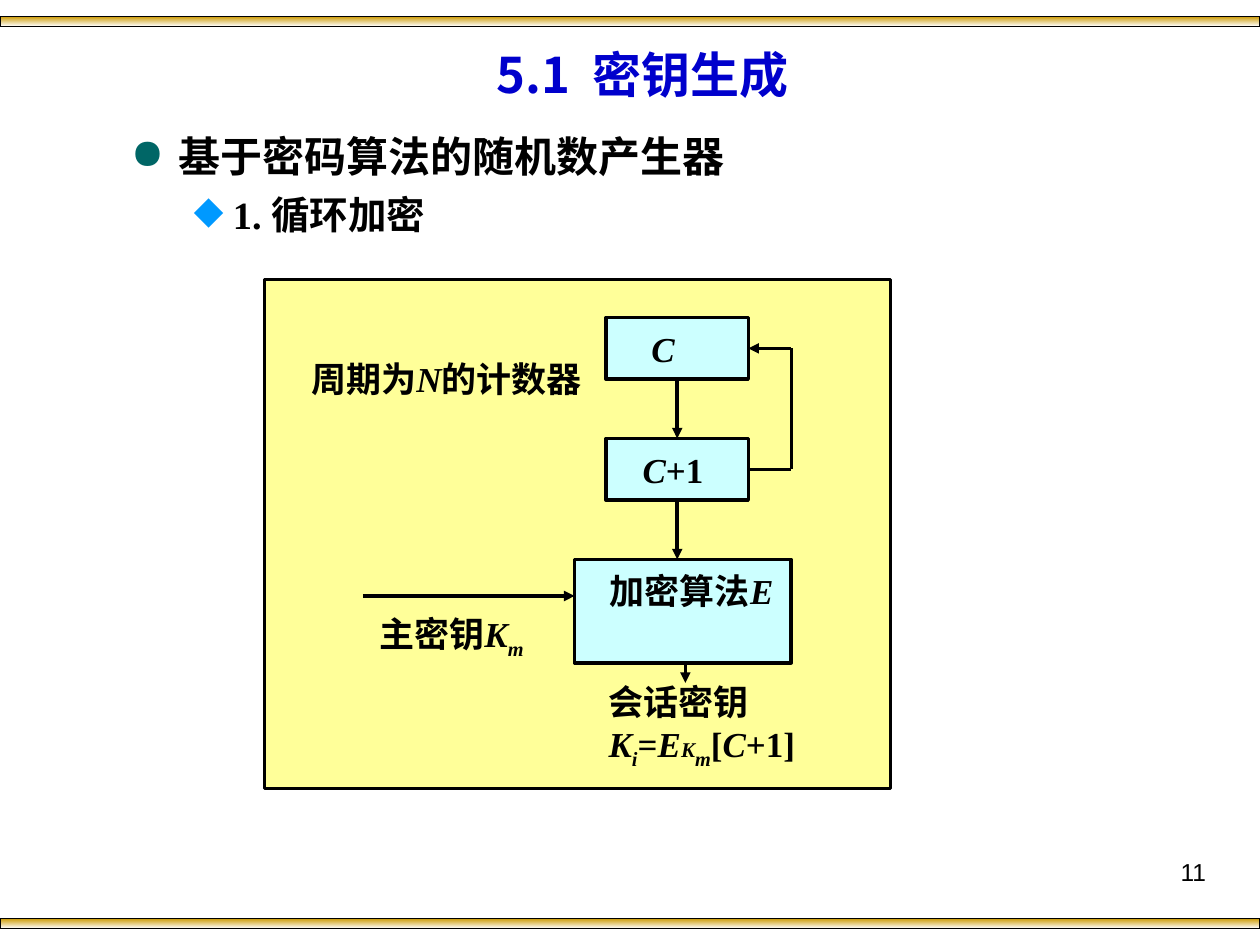
"""Build a slide on key generation by cyclic encryption."""
from dataclasses import dataclass
from typing import Optional

from lxml.etree import SubElement
from pptx import Presentation
from pptx.dml.color import RGBColor
from pptx.enum.shapes import MSO_CONNECTOR, MSO_SHAPE
from pptx.enum.text import MSO_ANCHOR, PP_ALIGN
from pptx.oxml.ns import qn
from pptx.util import Emu, Inches, Pt

COLORS = {
    "black": "000000", "title": "0000CC", "gold": "CC9900", "white": "FFFFFF",
    "panel": "FFFF99", "block": "CCFFFF", "dot": "006666", "diamond": "0099FF",
}
SERIF, SANS, PLAIN = "Times New Roman", "Noto Sans CJK SC", "Arial"
WIDTH, HEIGHT = Inches(10), Inches(7.5)
COLUMNS, ROWS = 100, 75
TOP, LEFT, BOTTOM, RIGHT = range(4)


@dataclass(frozen=True)
class Area:
    left: float
    top: float
    width: float
    height: float


@dataclass(frozen=True)
class Span:
    text: str
    italic: bool = False
    lowered: bool = False
    size: Optional[float] = None
    tracking: float = 0


@dataclass(frozen=True)
class Label:
    area: Area
    paragraphs: tuple
    before: float = 12.5


@dataclass(frozen=True)
class Block:
    area: Area
    spans: tuple
    first: float


@dataclass(frozen=True)
class Link:
    start: tuple
    end: tuple
    begin_join: Optional[tuple] = None
    end_join: Optional[tuple] = None
    arrow: bool = True


def column(count: float) -> Emu:
    """Return the length of some grid columns."""
    return Emu(round(WIDTH * count / COLUMNS))


def row(count: float) -> Emu:
    """Return the length of some grid rows."""
    return Emu(round(HEIGHT * count / ROWS))


def place(area: Area) -> tuple:
    """Turn a grid area into slide lengths."""
    return column(area.left), row(area.top), column(area.width), row(area.height)


def rgb(name: str) -> RGBColor:
    """Look up a named colour."""
    return RGBColor.from_string(COLORS[name])


def add_text(frame, spans, *, size=20, font=SERIF, color="black", bold=True,
             align=PP_ALIGN.JUSTIFY, before=0, margin=0, first=0, bullet=None) -> None:
    """Append one formatted paragraph to a text frame."""
    para = frame.paragraphs[0] if not frame.paragraphs[0].runs else frame.add_paragraph()
    para.alignment = align
    para.space_before = Pt(before)
    properties = para._p.get_or_add_pPr()
    properties.set("marL", str(column(margin)))
    properties.set("indent", str(column(first)))
    if bullet:
        mark, mark_color = bullet
        tint = SubElement(properties, qn("a:buClr"))
        SubElement(tint, qn("a:srgbClr"), val=COLORS[mark_color])
        SubElement(properties, qn("a:buChar"), char=mark)
    for span in spans:
        run = para.add_run()
        run.text = span.text
        run.font.size = Pt(span.size or size)
        run.font.name = font
        run.font.bold = bold
        run.font.italic = span.italic
        run.font.color.rgb = rgb(color)
        format_node = run._r.get_or_add_rPr()
        SubElement(format_node, qn("a:ea"), typeface=SANS)
        if span.lowered:
            format_node.set("baseline", "-25000")
        if span.tracking:
            format_node.set("spc", str(round(span.tracking * 100)))


def set_frame(shape, inset: float = 0.8, anchor=MSO_ANCHOR.TOP):
    """Wrap a shape's text and set its margins."""
    frame = shape.text_frame
    frame.word_wrap = True
    frame.vertical_anchor = anchor
    frame.margin_left = frame.margin_right = column(inset)
    frame.margin_top = frame.margin_bottom = row(min(inset, 0.8) if inset == 0.8 else 0.5)
    return frame


def add_box(page, area: Area, **frame_format):
    """Add a text box and return its frame."""
    return set_frame(page.shapes.add_textbox(*place(area)), **frame_format)


def add_rectangle(page, area: Area, fill: Optional[str] = None, weight: float = 2):
    """Add an outlined rectangle, gold to white if no fill is named."""
    shape = page.shapes.add_shape(MSO_SHAPE.RECTANGLE, *place(area))
    shape.shadow.inherit = False
    shape.line.color.rgb = rgb("black")
    shape.line.width = Pt(weight)
    if fill:
        shape.fill.solid()
        shape.fill.fore_color.rgb = rgb(fill)
    else:
        shape.fill.gradient()
        shape.fill.gradient_angle = 270
        for stop, name in zip(shape.fill.gradient_stops, ("gold", "white")):
            stop.color.rgb = rgb(name)
    return shape


def add_link(page, link: Link, shapes: dict) -> None:
    """Draw a straight line, joined to blocks where it meets them."""
    line = page.shapes.add_connector(
        MSO_CONNECTOR.STRAIGHT, column(link.start[0]), row(link.start[1]),
        column(link.end[0]), row(link.end[1]))
    line.line.color.rgb = rgb("black")
    line.line.width = Pt(2)
    if link.arrow:
        SubElement(line.line._get_or_add_ln(), qn("a:tailEnd"), type="triangle")
    SubElement(line._element.spPr, qn("a:effectLst"))
    if link.begin_join:
        line.begin_connect(shapes[link.begin_join[0]], link.begin_join[1])
    if link.end_join:
        line.end_connect(shapes[link.end_join[0]], link.end_join[1])


BLOCKS = {
    "cipher": Block(Area(45.6, 44.4, 17.2, 8.2), (Span("加密算法"), Span("E", True)), 2),
    "next": Block(Area(48.1, 34.8, 11.3, 4.9), (Span("C", True), Span("+1")), 2.1),
    "counter": Block(Area(48.1, 25.2, 11.3, 4.9), (Span("C", True),), 2.8),
}
LABELS = (
    Label(Area(29.3, 47.8, 14.8, 5.4),
          ((Span("主密钥"), Span("K", True), Span("m", True, True)),)),
    Label(Area(47.5, 53.2, 17.2, 8.7), (
        (Span("会话密钥"),),
        (Span("K", True), Span("i", True, True), Span("="), Span("E", True),
         Span("K", True, size=12), Span("m", True, True), Span("["),
         Span("C", True), Span("+1]"))), before=0),
    Label(Area(23.9, 27.6, 23.6, 8.2),
          ((Span("周期为"), Span("N", True), Span("的计数器")),)),
)
AXIS, LOOP, LOW, HIGH = 53.75, 62.8, 37.25, 27.65
OUTPUT = Link((54.4, 49.8), (54.4, 54.2))
LINKS = (
    Link((28.8, 47.3), (45.6, 47.3)),
    Link((AXIS, 39.7), (AXIS, 44.4), ("next", BOTTOM)),
    Link((AXIS, 30.1), (AXIS, 34.8), ("counter", BOTTOM), ("next", TOP)),
    Link((59.4, LOW), (LOOP, LOW), ("next", RIGHT), arrow=False),
    Link((LOOP, LOW), (LOOP, HIGH), arrow=False),
    Link((LOOP, HIGH), (59.4, HIGH), end_join=("counter", RIGHT)),
)


def main() -> None:
    """Build and save the deck."""
    deck = Presentation()
    deck.slide_width, deck.slide_height = WIDTH, HEIGHT
    page = deck.slides.add_slide(deck.slide_layouts[6])
    for top in (1.3, 72.9):
        add_rectangle(page, Area(0, top, COLUMNS, 0.8), weight=0.75)
    add_text(add_box(page, Area(71.7, 67.5, 25, 5.2), inset=1), (Span("11"),),
             size=14, font=PLAIN, bold=False, align=PP_ALIGN.RIGHT)
    add_text(add_box(page, Area(4.3, 2.8, 93.4, 6.2), inset=1, anchor=MSO_ANCHOR.MIDDLE),
             (Span("5.1"), Span(" ", tracking=6.5), Span("密钥生成")),
             size=28, font=SANS, color="title", align=PP_ALIGN.CENTER)
    outline = add_box(page, Area(9.4, 9.9, 82.2, 9.5), inset=1)
    add_text(outline, (Span("基于密码算法的随机数产生器"),), size=24, before=6,
             align=PP_ALIGN.LEFT, margin=3.8, first=-3.8, bullet=("●", "dot"))
    add_text(outline, (Span("1. 循环加密"),), size=22, before=5.5,
             align=PP_ALIGN.LEFT, margin=8.1, first=-3.1, bullet=("◆", "diamond"))
    outline.paragraphs[1].level = 1
    add_rectangle(page, Area(21, 22.2, 49.7, 40.4), "panel")
    add_link(page, OUTPUT, {})
    shapes = {}
    for name, block in BLOCKS.items():
        shapes[name] = add_rectangle(page, block.area, "block")
        add_text(set_frame(shapes[name]), block.spans, before=12.5,
                 margin=5, first=block.first - 5)
    for label in LABELS:
        frame = add_box(page, label.area)
        for spans in label.paragraphs:
            add_text(frame, spans, before=label.before, margin=5, first=-5)
    for link in LINKS:
        add_link(page, link, shapes)
    deck.save("out.pptx")


if __name__ == "__main__":
    main()
